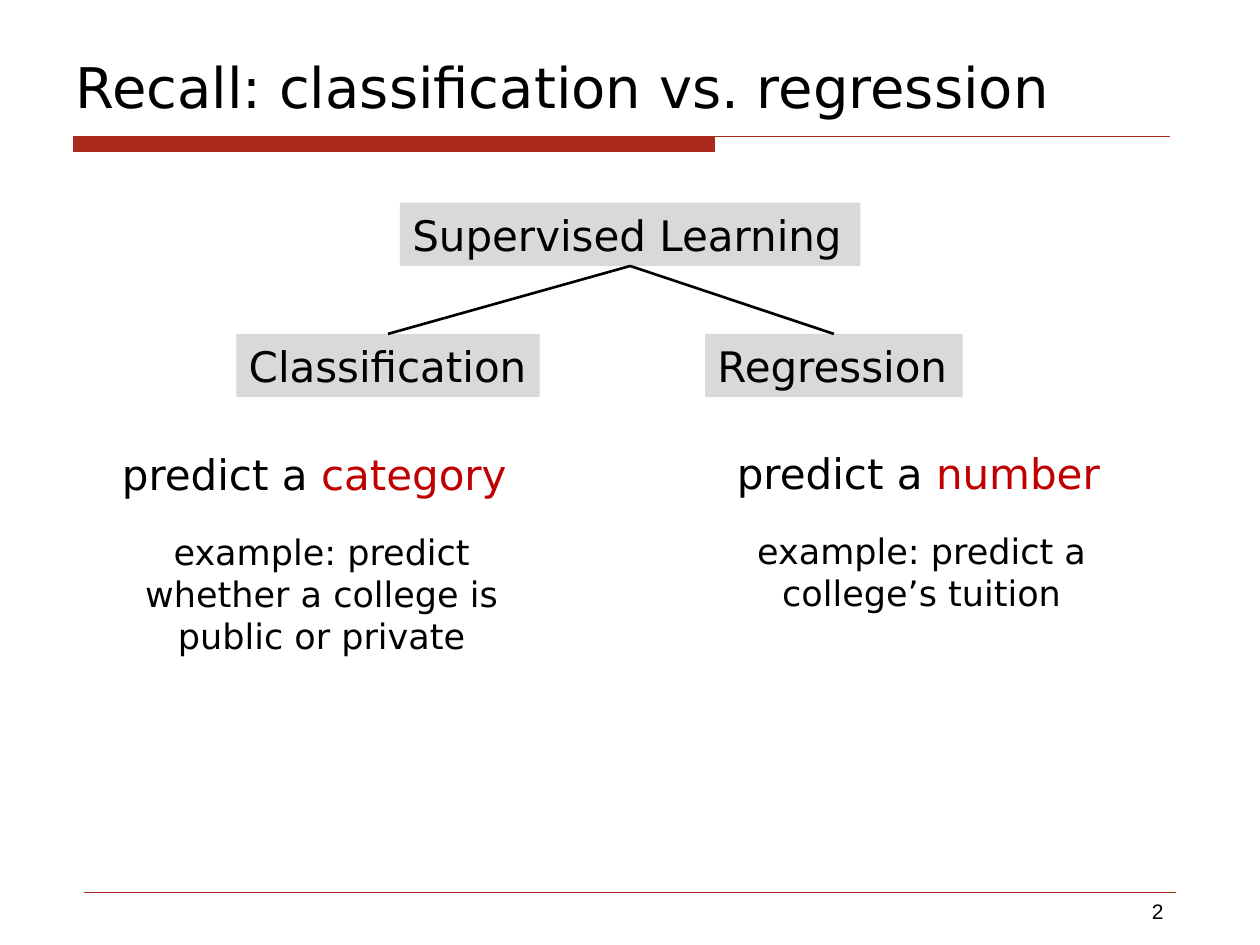
import pptx
import pptx.dml.color
import pptx.enum.shapes
import pptx.enum.text
import pptx.oxml.ns
import pptx.util
from lxml import etree

Pt = pptx.util.Pt
RGB = pptx.dml.color.RGBColor
ALIGN = pptx.enum.text.PP_ALIGN
ANCHOR = pptx.enum.text.MSO_ANCHOR

BLACK = RGB(0, 0, 0)
BRICK = RGB(0xAA, 0x2B, 0x1E)
RED = RGB(0xC0, 0, 0)
GREY = RGB(0xD9, 0xD9, 0xD9)
FONT = "DejaVu Sans"

TITLE = "Recall: classification vs. regression"
PAGE_NUMBER = "2"
# label, (left, top, width)
ROOT = ("Supervised Learning", (228.5, 115.8, 263.2))
BRANCHES = [
    {
        "label": ("Classification", (135, 190.8, 173.4)),
        "target": "category",
        "example": "example: predict whether a college is public or private",
        "box": (62.6, 252.7, 242.6, 130),
    },
    {
        "label": ("Regression", (402.9, 190.8, 147.2)),
        "target": "number",
        "example": "example: predict a college\u2019s tuition",
        "box": (414, 252, 225.4, 117),
    },
]
LABEL_HEIGHT = 36.2


def write(paragraph, text, size=24, color=BLACK, font=FONT, align=ALIGN.LEFT):
    """Append a formatted run to a paragraph."""
    paragraph.alignment = align
    run = paragraph.add_run()
    run.text = text
    run.font.size = Pt(size)
    run.font.name = font
    run.font.color.rgb = color


def add_text_frame(box):
    """Add a wrapping text box and return its text frame."""
    frame = slide.shapes.add_textbox(*map(Pt, box)).text_frame
    frame.word_wrap = True
    return frame


def add_bar(box, color):
    """Add a plain filled rectangle."""
    bar = slide.shapes.add_shape(
        pptx.enum.shapes.MSO_SHAPE.RECTANGLE, *map(Pt, box))
    bar.shadow.inherit = False
    bar.fill.solid()
    bar.fill.fore_color.rgb = color
    bar.line.fill.background()
    return bar


def add_line(start, end, color, width):
    """Add a straight line without a shadow."""
    line = slide.shapes.add_connector(
        pptx.enum.shapes.MSO_CONNECTOR.STRAIGHT, *map(Pt, start + end))
    line.line.color.rgb = color
    line.line.width = Pt(width)
    etree.SubElement(line._element.spPr, pptx.oxml.ns.qn("a:effectLst"))
    return line


def add_label(text, place):
    """Add a grey tree node."""
    node = add_bar(place + (LABEL_HEIGHT,), GREY)
    node.text_frame.word_wrap = False
    node.text_frame.vertical_anchor = ANCHOR.MIDDLE
    write(node.text_frame.paragraphs[0], text)
    return node


def add_description(branch):
    """Add what a branch predicts, with its example."""
    frame = add_text_frame(branch["box"])
    prediction, example = frame.paragraphs[0], frame.add_paragraph()
    for paragraph in (prediction, example):
        paragraph.space_before, paragraph.space_after = Pt(12), Pt(6)
    write(prediction, "predict a ")
    write(prediction, branch["target"], color=RED)
    write(example, branch["example"], size=20, align=ALIGN.CENTER)


deck = pptx.Presentation()
deck.slide_width, deck.slide_height = Pt(720), Pt(540)
slide = deck.slides.add_slide(deck.slide_layouts[5])

title = slide.shapes.title
title.left, title.top, title.width, title.height = map(Pt, (36, 18, 630, 54))
title.text_frame.vertical_anchor = ANCHOR.BOTTOM
write(title.text_frame.paragraphs[0], TITLE, size=32)

add_bar((41.8, 78, 366.7, 8.8), BRICK)
add_line((41.8, 78), (668.6, 78), BRICK, 0.75)
add_line((48, 510), (672, 510), BRICK, 0.25)
write(add_text_frame((516, 510, 156, 19.4)).paragraphs[0], PAGE_NUMBER,
      size=12, font="Arial", align=ALIGN.RIGHT)

root = add_label(*ROOT)
for branch in BRANCHES:
    node = add_label(*branch["label"])
    edge = add_line((0, 0), (1, 1), BLACK, 1.5)
    edge.begin_connect(root, 2)
    edge.end_connect(node, 0)
    add_description(branch)

deck.save("out.pptx")
